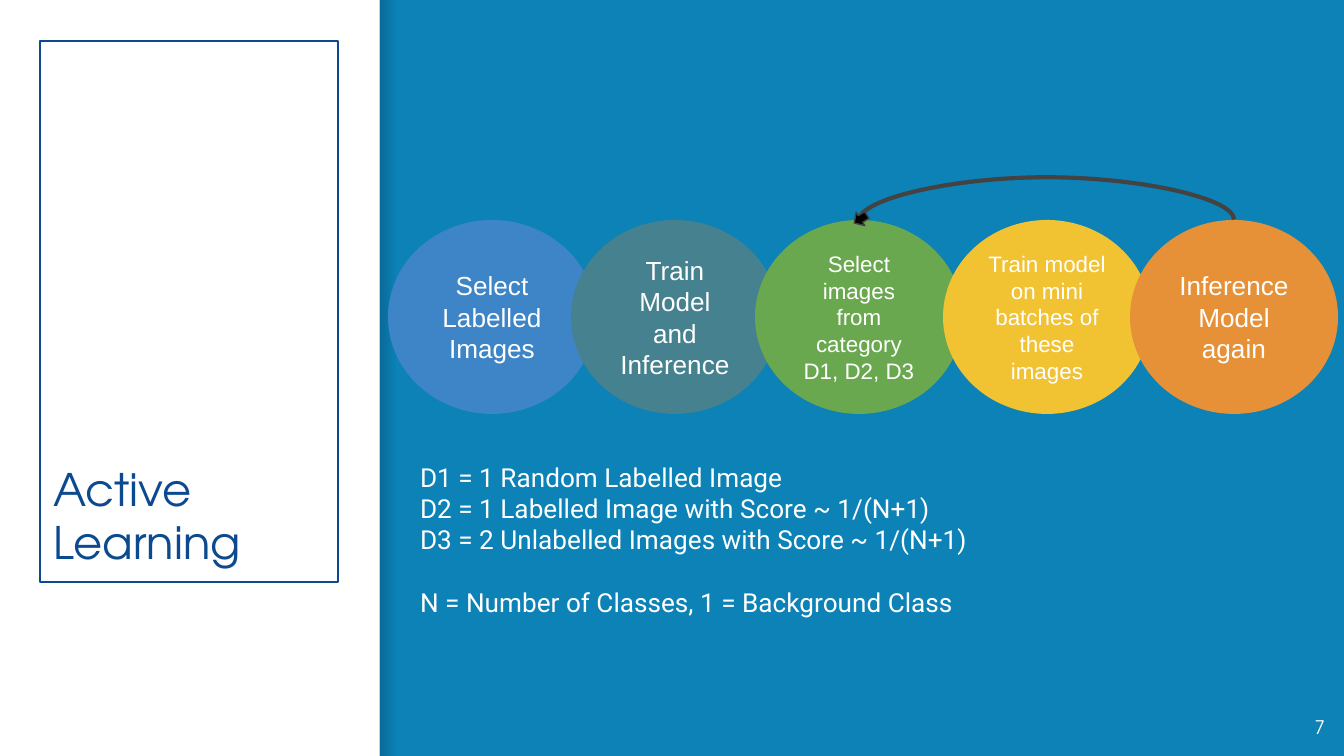
from lxml import etree
from pptx import Presentation
from pptx.dml.color import RGBColor
from pptx.enum.shapes import MSO_CONNECTOR, MSO_SHAPE
from pptx.enum.text import MSO_ANCHOR, MSO_AUTO_SIZE, PP_ALIGN
from pptx.oxml.ns import qn
from pptx.util import Pt

RECTANGLE = MSO_SHAPE.RECTANGLE
OVAL = MSO_SHAPE.OVAL
RIGHT_ARROW = MSO_SHAPE.RIGHT_ARROW
CURVE = MSO_CONNECTOR.CURVE
TOP, MIDDLE, BOTTOM = MSO_ANCHOR.TOP, MSO_ANCHOR.MIDDLE, MSO_ANCHOR.BOTTOM
LEFT, CENTER, RIGHT = PP_ALIGN.LEFT, PP_ALIGN.CENTER, PP_ALIGN.RIGHT
NO_AUTOFIT = MSO_AUTO_SIZE.NONE

EMU_PER_PX = 914400 / 134.4
WHITE, NAVY, GRAY = "FFFFFF", "0C4A90", "434343"
HEADING_FONT, STAGE_FONT, BODY_FONT = "TeX Gyre Adventor", "Arial", "Roboto"


def px(length):
    return round(length * EMU_PER_PX)


def color(hex_string):
    return RGBColor.from_string(hex_string)


class SlideBuilder:
    inset = 13
    line_height = 1.2

    def __init__(self, slide, background):
        self.slide = slide
        slide.background.fill.solid()
        slide.background.fill.fore_color.rgb = color(background)

    def set_lines(self, shape, lines, size, font, ink=WHITE, align=LEFT, anchor=TOP):
        frame = shape.text_frame
        frame.word_wrap = True
        frame.auto_size = NO_AUTOFIT
        frame.vertical_anchor = anchor
        frame.margin_left = frame.margin_right = px(self.inset)
        frame.margin_top = frame.margin_bottom = px(self.inset)
        for index, line in enumerate(lines):
            paragraph = frame.paragraphs[0] if index == 0 else frame.add_paragraph()
            paragraph.alignment = align
            paragraph.line_spacing = Pt(size * self.line_height)
            run = paragraph.add_run()
            run.text = line
            run.font.size = Pt(size)
            run.font.name = font
            run.font.color.rgb = color(ink)
        return frame

    def outline(self, shape, ink, points):
        shape.line.color.rgb = color(ink)
        shape.line.width = Pt(points)

    def shape(self, preset, left, top, width, height, fill):
        shape = self.slide.shapes.add_shape(preset, px(left), px(top), px(width), px(height))
        shape.shadow.inherit = False
        shape.line.fill.background()
        shape.fill.solid()
        shape.fill.fore_color.rgb = color(fill)
        return shape

    def fading_edge(self, left, top, width, height, ink, opacities):
        edge = self.shape(RECTANGLE, left, top, width, height, ink)
        edge.fill.gradient()
        edge.fill.gradient_angle = 0
        for stop in edge.fill.gradient_stops:
            stop.color.rgb = color(ink)
        for tint, opacity in zip(edge.element.spPr.iter(qn("a:srgbClr")), opacities):
            etree.SubElement(tint, qn("a:alpha")).set("val", str(opacity * 1000))

    def title(self, left, top, width, height, wording):
        title = self.slide.shapes.title
        title.left, title.top = px(left), px(top)
        title.width, title.height = px(width), px(height)
        self.outline(title, NAVY, 0.75)
        self.set_lines(title, [wording], 24, HEADING_FONT, NAVY, anchor=BOTTOM)
        title.element.getparent().append(title.element)

    def text(self, left, top, width, height, lines, size, font, **style):
        box = self.slide.shapes.add_textbox(px(left), px(top), px(width), px(height))
        return self.set_lines(box, lines, size, font, **style)

    def stage(self, left, top, width, height, fill, wording, size):
        oval = self.shape(OVAL, left, top, width, height, fill)
        self.set_lines(oval, [wording], size, STAGE_FONT, align=CENTER, anchor=MIDDLE)

    def arc(self, start_x, end_x, y, rise):
        span = start_x - end_x
        middle = (start_x + end_x) // 2
        arc = self.slide.shapes.add_connector(
            CURVE, px(middle), px(y - span / 2), px(middle + 1), px(y + span / 2))
        self.outline(arc, GRAY, 2.25)
        properties = arc.element.spPr
        properties.find(qn("a:xfrm")).set("rot", "5400000")
        adjustments = properties.find(qn("a:prstGeom")).get_or_add_avLst()
        guide = etree.SubElement(adjustments, qn("a:gd"))
        guide.set("name", "adj1")
        guide.set("fmla", f"val {-rise * 100000}")
        etree.SubElement(properties, qn("a:effectLst"))

    def arrow_tip(self, left, top, width, height, rotation):
        tip = self.shape(RIGHT_ARROW, left, top, width, height, "000000")
        tip.rotation = rotation
        self.outline(tip, GRAY, 0.75)


def main():
    presentation = Presentation()
    presentation.slide_width, presentation.slide_height = px(1344), px(756)
    builder = SlideBuilder(
        presentation.slides.add_slide(presentation.slide_layouts[5]), "0C82B7")

    builder.shape(RECTANGLE, 0, 0, 380, 756, WHITE)
    builder.fading_edge(380, 0, 16, 756, "000014", (20, 0))
    builder.text(1258, 698, 80, 58, ["7"], 10, HEADING_FONT, align=RIGHT, anchor=MIDDLE)
    builder.title(40, 41, 298, 541, "Active Learning")

    stages = [
        (388, "3D85C6", "Select Labelled Images", 14),
        (571, "45818E", "Train Model and Inference", 14),
        (755, "6AA84F", "Select images from category D1, D2, D3", 12),
        (943, "F1C232", "Train model on mini batches of these images", 12),
        (1130, "E69138", "Inference Model again", 14),
    ]
    stage_top, stage_width, stage_height = 220, 208, 194
    for left, fill, wording, size in stages:
        builder.stage(left, stage_top, stage_width, stage_height, fill, wording, size)

    selection_x, inference_x = (stages[i][0] + stage_width // 2 for i in (2, 4))
    builder.arc(inference_x, selection_x, stage_top, 42)

    definitions = builder.text(407, 448, 580, 145, [
        "D1 = 1 Random Labelled Image",
        "D2 = 1 Labelled Image with Score ~ 1/(N+1)",
        "D3 = 2 Unlabelled Images with Score ~ 1/(N+1)",
        "N = Number of Classes, 1 = Background Class",
    ], 14, BODY_FONT)
    definitions.paragraphs[-1].space_before = Pt(17)

    builder.arrow_tip(853, 211, 15, 16, 147.3)
    presentation.save("out.pptx")


if __name__ == "__main__":
    main()
